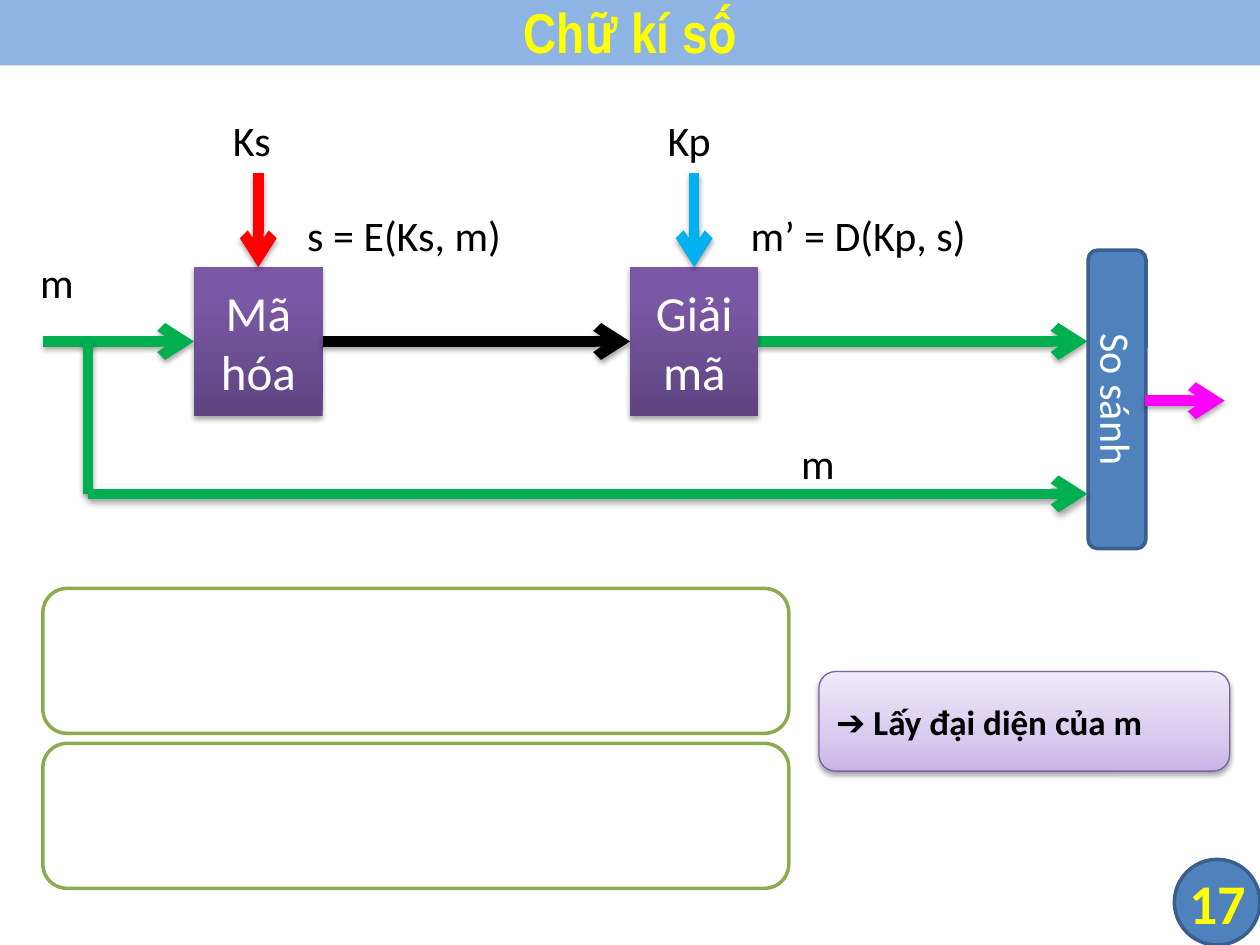
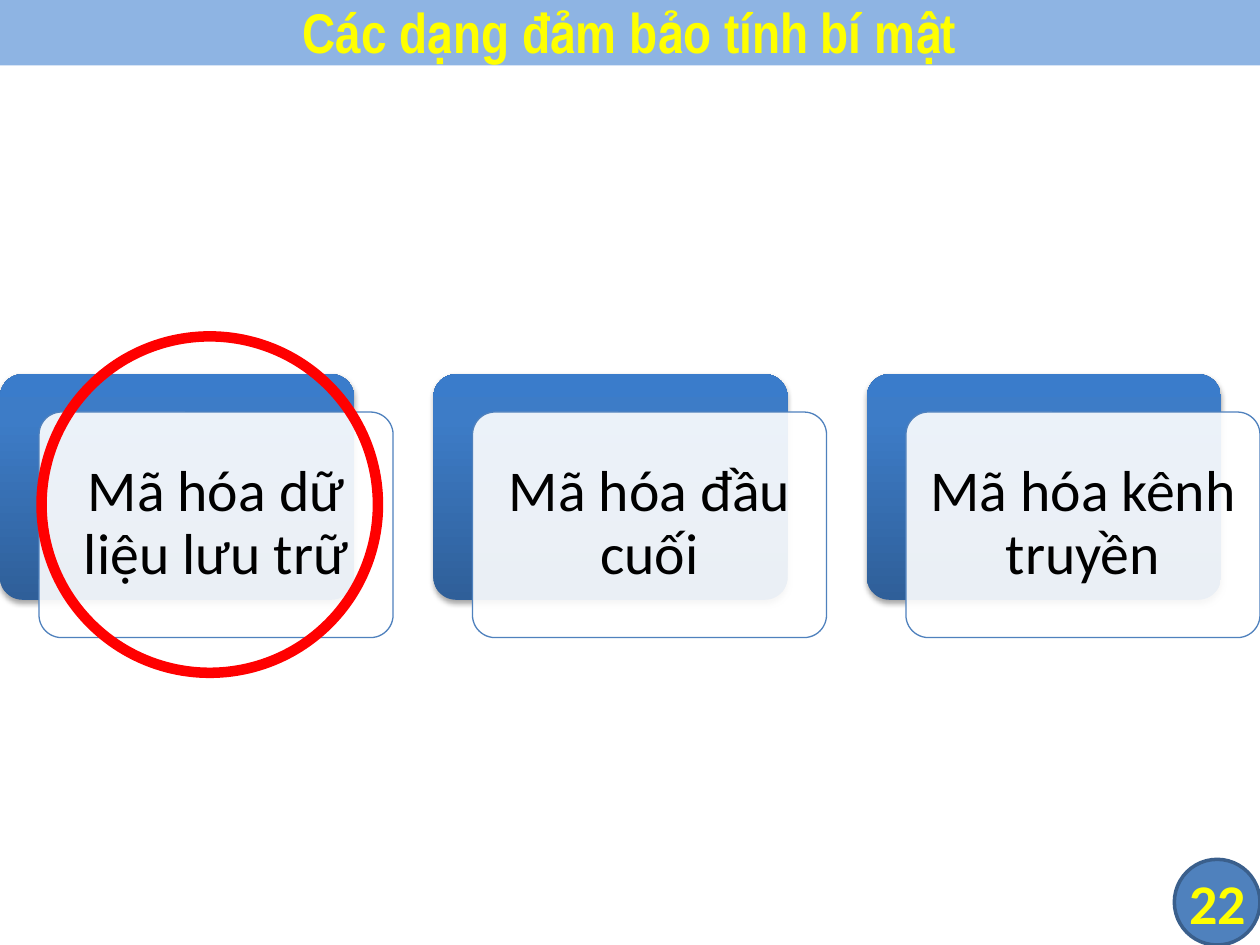
from lxml import etree
from pptx import Presentation
from pptx.dml.color import RGBColor
from pptx.enum.shapes import MSO_CONNECTOR, MSO_SHAPE
from pptx.enum.text import MSO_ANCHOR, MSO_AUTO_SIZE, PP_ALIGN
from pptx.oxml.ns import qn
from pptx.util import Inches, Pt

RECTANGLE = MSO_SHAPE.RECTANGLE
ROUNDED = MSO_SHAPE.ROUNDED_RECTANGLE
ELLIPSE = MSO_SHAPE.OVAL
PAGE_CIRCLE = MSO_SHAPE.FLOWCHART_CONNECTOR
STRAIGHT = MSO_CONNECTOR.STRAIGHT
LEFT, CENTER = PP_ALIGN.LEFT, PP_ALIGN.CENTER
MIDDLE, TOP = MSO_ANCHOR.MIDDLE, MSO_ANCHOR.TOP
NO_AUTOSIZE = MSO_AUTO_SIZE.NONE

BODY_FONT, TITLE_FONT = "Calibri", "Arial Narrow"
BLACK, WHITE, YELLOW, RED = "000000", "FFFFFF", "FFFF00", "FF0000"
GREEN, SKY, MAGENTA = "00B050", "00B0F0", "FF00FF"
BAND, BLUE, DARK_BLUE = "8EB4E3", "4F81BD", "3A5F8C"
OLIVE, PURPLE = "8DAA51", "7D60A0"
PURPLE_GRADIENT = [(0, "5F4480"), (80, "7B58A6"), (100, "7C57A8")]
LILAC_GRADIENT = [(0, "C9B5E8"), (35, "D8CBEE"), (100, "F0EAF9")]
BLUE_GRADIENT = [(0, "2F5F99"), (80, "3D7CC7"), (100, "3A7CCB")]


def rgb(color):
    """Turn a hex string into a colour."""
    return RGBColor.from_string(color)


def add_color(parent, color, alpha=None):
    """Append an srgbClr element, with an optional opacity in percent."""
    element = etree.SubElement(parent, qn("a:srgbClr"), val=color)
    if alpha is not None:
        etree.SubElement(element, qn("a:alpha"), val=str(alpha * 1000))


def add_effects(properties, shadow):
    """Give shape properties a soft drop shadow, or no effect at all."""
    effects = etree.SubElement(properties, qn("a:effectLst"))
    if shadow:
        outer = etree.SubElement(
            effects, qn("a:outerShdw"), blurRad=str(Pt(3.1)),
            dist=str(Pt(1.8)), dir="5400000", rotWithShape="0")
        add_color(outer, BLACK, 35)


def fill_gradient(shape, stops):
    """Fill a shape with a gradient that runs from bottom to top."""
    shape.fill.gradient()
    shape.fill.gradient_angle = 90
    stop_list = shape._element.spPr.find(".//" + qn("a:gsLst"))
    for stop in list(stop_list):
        stop_list.remove(stop)
    for position, color in stops:
        stop = etree.SubElement(stop_list, qn("a:gs"), pos=str(position * 1000))
        add_color(stop, color)


def write_text(shape, text, size, color=BLACK, bold=False, align=CENTER,
               anchor=MIDDLE, font=BODY_FONT, wrap=True):
    """Write one formatted paragraph into a shape."""
    frame = shape.text_frame
    frame.text = text
    frame.word_wrap = wrap
    frame.auto_size = NO_AUTOSIZE
    frame.vertical_anchor = anchor
    paragraph = frame.paragraphs[0]
    paragraph.alignment = align
    run_font = paragraph.runs[0].font
    run_font.name = font
    run_font.size = Pt(size)
    run_font.bold = bold
    run_font.color.rgb = rgb(color)
    return paragraph


def set_margins(shape, margin):
    """Set the same inset on all four sides."""
    frame = shape.text_frame
    frame.margin_left = frame.margin_right = Inches(margin)
    frame.margin_top = frame.margin_bottom = Inches(margin)


def add_box(slide, kind, left, top, width, height, fill=None, gradient=None,
            line=None, line_width=2, shadow=False):
    """Add a preset shape with its fill, outline and shadow."""
    shape = slide.shapes.add_shape(
        kind, Inches(left), Inches(top), Inches(width), Inches(height))
    if gradient:
        fill_gradient(shape, gradient)
    elif fill:
        shape.fill.solid()
        shape.fill.fore_color.rgb = rgb(fill)
    else:
        shape.fill.background()
    if line:
        shape.line.color.rgb = rgb(line)
        shape.line.width = Pt(line_width)
    else:
        shape.line.fill.background()
    add_effects(shape._element.spPr, shadow)
    return shape


def add_textbox(slide, left, top, width, height):
    """Add an empty text box."""
    return slide.shapes.add_textbox(
        Inches(left), Inches(top), Inches(width), Inches(height))


def add_label(slide, text, left, top, width):
    """Add a one-line diagram label."""
    write_text(add_textbox(slide, left, top, width, 0.5), text, 24,
               align=LEFT, anchor=TOP, wrap=False)


def add_flow(slide, start, end, color, arrow=True):
    """Add a thick line, usually ending in an arrowhead."""
    connector = slide.shapes.add_connector(
        STRAIGHT, *(Inches(value) for value in (*start, *end)))
    connector.line.color.rgb = rgb(color)
    connector.line.width = Pt(6)
    properties = connector._element.spPr
    if arrow:
        etree.SubElement(properties.find(qn("a:ln")), qn("a:tailEnd"), type="arrow")
    add_effects(properties, True)


def add_page(presentation, title, number):
    """Add a slide with the title band and the page number circle."""
    slide = presentation.slides.add_slide(presentation.slide_layouts[5])
    band = slide.shapes.title
    band.left, band.top = Inches(0), Inches(-0.03)
    band.width, band.height = Inches(10), Inches(0.55)
    band.fill.solid()
    band.fill.fore_color.rgb = rgb(BAND)
    write_text(band, title, 32, YELLOW, bold=True, font=TITLE_FONT)
    add_box(slide, PAGE_CIRCLE, 9.32, 6.82, 0.68, 0.68, BLUE, line=DARK_BLUE)
    page_number = add_textbox(slide, 9.33, 6.82, 0.67, 0.68)
    set_margins(page_number, 0)
    write_text(page_number, str(number), 32, YELLOW, bold=True)
    return slide


def add_process(slide, text, left):
    """Add a purple step of the signature flow."""
    box = add_box(slide, RECTANGLE, left, 2.12, 1.02, 1.18,
                  gradient=PURPLE_GRADIENT, shadow=True)
    write_text(box, text, 28, WHITE)


def add_card(slide, text, left):
    """Add a blue card with a translucent text panel in front."""
    width, height, top = 2.81, 1.79, 2.97
    back = add_box(slide, ROUNDED, left, top, width, height,
                   gradient=BLUE_GRADIENT, shadow=True)
    panel = add_box(slide, ROUNDED, left + 0.31, top + 0.3, width, height,
                    WHITE, line=BLUE, line_width=0.75)
    color = panel._element.spPr.find(qn("a:solidFill")).find(qn("a:srgbClr"))
    etree.SubElement(color, qn("a:alpha"), val="90000")
    for shape in (back, panel):
        shape.adjustments[0] = 0.1
    caption = add_textbox(slide, left + 0.36, top + 0.35, 2.71, 1.68)
    set_margins(caption, 0.14)
    paragraph = write_text(caption, text, 33)
    paragraph.line_spacing = 0.9
    paragraph.space_after = Pt(11.55)


def build_signature_slide(presentation):
    """Build the digital signature diagram."""
    slide = add_page(presentation, "Chữ kí số", 17)
    main_y, copy_y, branch_x, compare_x = 2.71, 3.92, 0.7, 8.63
    add_flow(slide, (6.02, main_y), (compare_x, main_y), GREEN)
    add_process(slide, "Mã hóa", 1.54)
    add_process(slide, "Giải mã", 5)
    add_flow(slide, (0.34, main_y), (1.54, main_y), GREEN)
    add_flow(slide, (2.56, main_y), (5, main_y), BLACK)
    compare = add_box(slide, ROUNDED, 7.68, 2.94, 2.37, 0.46, BLUE, line=DARK_BLUE)
    compare.rotation = 90
    write_text(compare, "So sánh", 24, WHITE)
    add_flow(slide, (branch_x, main_y), (branch_x, copy_y), GREEN, arrow=False)
    add_flow(slide, (branch_x, copy_y), (compare_x, copy_y), GREEN)
    add_flow(slide, (9.09, 3.18), (9.72, 3.18), MAGENTA)
    for key_x, color in ((2.05, RED), (5.51, SKY)):
        add_flow(slide, (key_x, 1.37), (key_x, 2.12), color)
    for text, left, top, width in (
            ("m", 0.22, 1.99, 0.48), ("m", 6.26, 3.42, 0.48),
            ("s = E(Ks, m)", 2.34, 1.61, 2.06),
            ("m’ = D(Kp, s)", 5.86, 1.61, 2.25),
            ("Ks", 1.75, 0.86, 0.59), ("Kp", 5.2, 0.86, 0.61)):
        add_label(slide, text, left, top, width)
    for top in (4.67, 5.9):
        add_box(slide, ROUNDED, 0.34, top, 5.92, 1.15, WHITE, line=OLIVE)
    remark = add_box(slide, ROUNDED, 6.5, 5.33, 3.26, 0.79,
                     gradient=LILAC_GRADIENT, line=PURPLE, line_width=0.75,
                     shadow=True)
    write_text(remark, "➔ Lấy đại diện của m", 20, bold=True, align=LEFT)


def build_secrecy_slide(presentation):
    """Build the three forms of secrecy, with the first one circled."""
    slide = add_page(presentation, "Các dạng đảm bảo tính bí mật", 22)
    captions = ("Mã hóa dữ liệu lưu trữ", "Mã hóa đầu cuối", "Mã hóa kênh truyền")
    for index, caption in enumerate(captions):
        add_card(slide, caption, index * 3.44)
    add_box(slide, ELLIPSE, 0.33, 2.67, 2.67, 2.67, line=RED, line_width=6)


def main():
    """Build and save the presentation."""
    presentation = Presentation()
    presentation.slide_width = Inches(10)
    presentation.slide_height = Inches(7.5)
    build_signature_slide(presentation)
    build_secrecy_slide(presentation)
    presentation.save("out.pptx")


if __name__ == "__main__":
    main()
